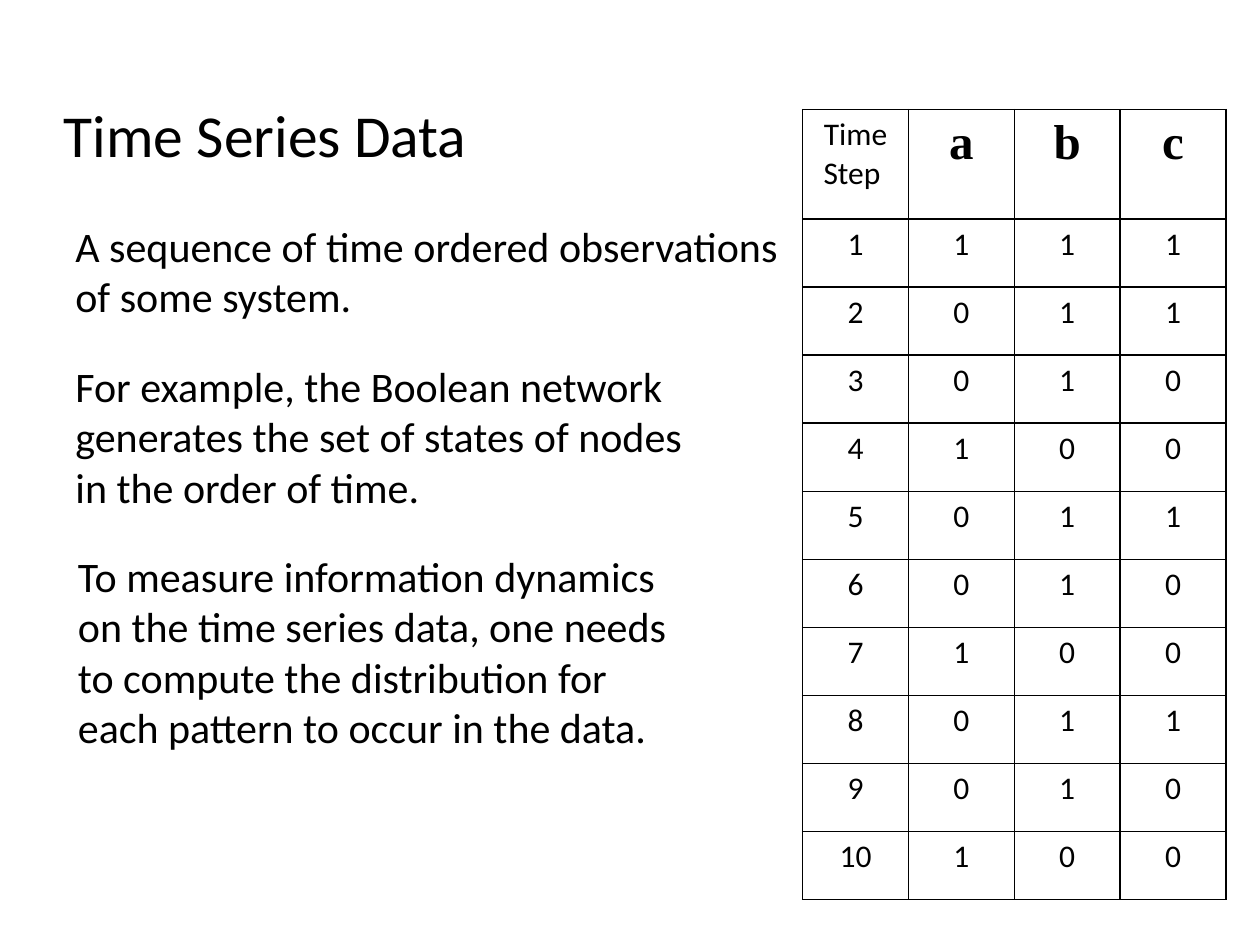
from dataclasses import dataclass

from lxml import etree
from pptx import Presentation
from pptx.dml.color import RGBColor
from pptx.enum import text
from pptx.oxml.ns import qn
from pptx.util import Inches, Pt


@dataclass(frozen=True)
class Theme:
    ink: RGBColor = RGBColor(0, 0, 0)
    font: str = "Calibri"
    node_font: str = "Times New Roman"
    title: int = 34
    body: int = 24
    cell: int = 18
    node: int = 28
    border: int = 1


theme = Theme()


def add_run(p, words, size, font=theme.font, bold=False):
    r = p.add_run()
    r.text = words
    r.font.size = Pt(size)
    r.font.name = font
    r.font.bold = bold
    r.font.color.rgb = theme.ink


def add_borders(cell):
    """Draw all four sides; the sides must precede the fill in tcPr."""
    tc_pr = cell._tc.get_or_add_tcPr()
    for i, side in enumerate(("a:lnL", "a:lnR", "a:lnT", "a:lnB")):
        ln = etree.Element(qn(side), w=str(Pt(theme.border)))
        fill = etree.SubElement(ln, qn("a:solidFill"))
        etree.SubElement(fill, qn("a:srgbClr"), val=str(theme.ink))
        tc_pr.insert(i, ln)


prs = Presentation()
prs.slide_width, prs.slide_height = Inches(10), Inches(7.5)
s = prs.slides.add_slide(prs.slide_layouts[5])

# Title
title = s.shapes.title
title.left, title.top = Inches(-0.21), Inches(0.72)
title.width, title.height = Inches(4.63), Inches(0.68)
title.text_frame.vertical_anchor = text.MSO_ANCHOR.MIDDLE
p = title.text_frame.paragraphs[0]
p.alignment = text.PP_ALIGN.CENTER
add_run(p, "Time Series Data", theme.title)

# Explanations: left, top, width, height, wording
explanations = [
    (0.5, 1.7, 5.87, 0.91,
     "A sequence of time ordered observations of some system."),
    (0.5, 2.81, 5.29, 1.31,
     "For example, the Boolean network generates the set of states of nodes "
     "in the order of time."),
    (0.52, 4.32, 5.09, 1.72,
     "To measure information dynamics on the time series data, one needs "
     "to compute the distribution for each pattern to occur in the data."),
]
for *box, words in explanations:
    tf = s.shapes.add_textbox(*map(Inches, box)).text_frame
    tf.word_wrap = True
    tf.auto_size = text.MSO_AUTO_SIZE.SHAPE_TO_FIT_TEXT
    add_run(tf.paragraphs[0], words, theme.body)

# Node states at each time step
states = ["111", "011", "010", "100", "011", "010", "100", "011", "010", "100"]
rows = [["Time Step ", "a", "b", "c"]]
rows += [[str(step), *state] for step, state in enumerate(states, 1)]

column_width, header_height, row_height = 0.84, 0.87, 0.54
table = s.shapes.add_table(
    len(rows), len(rows[0]), Inches(6.37), Inches(0.87),
    Inches(column_width * len(rows[0])),
    Inches(header_height + row_height * len(states))).table
table.first_row = table.horz_banding = False
for column in table.columns:
    column.width = Inches(column_width)

for i, row in enumerate(rows):
    table.rows[i].height = Inches(row_height if i else header_height)
    for j, words in enumerate(row):
        cell = table.cell(i, j)
        cell.fill.background()
        add_borders(cell)
        p = cell.text_frame.paragraphs[0]
        p.alignment = text.PP_ALIGN.CENTER
        if i == 0 and j > 0:
            add_run(p, words, theme.node, theme.node_font, bold=True)
        else:
            add_run(p, words, theme.cell)

prs.save("out.pptx")
